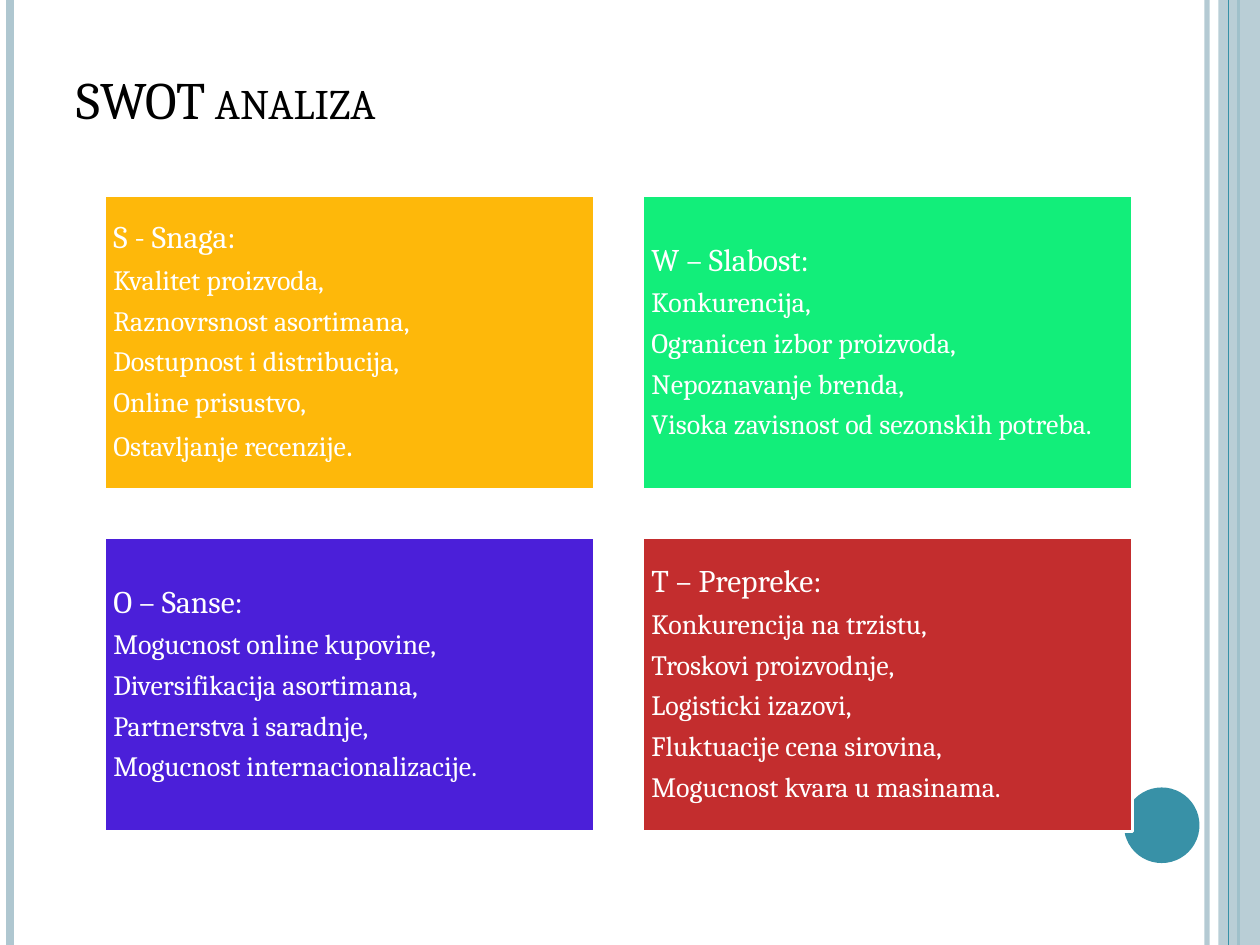
from lxml import etree
from pptx import Presentation
from pptx.dml.color import RGBColor
from pptx.enum.shapes import MSO_CONNECTOR, MSO_SHAPE
from pptx.enum.text import MSO_ANCHOR, MSO_AUTO_SIZE, PP_ALIGN
from pptx.oxml.ns import qn
from pptx.util import Inches, Pt

STRAIGHT = MSO_CONNECTOR.STRAIGHT
RECT, OVAL = MSO_SHAPE.RECTANGLE, MSO_SHAPE.OVAL
MIDDLE, BOTTOM = MSO_ANCHOR.MIDDLE, MSO_ANCHOR.BOTTOM
LEFT, NO_FIT = PP_ALIGN.LEFT, MSO_AUTO_SIZE.NONE

WHITE = RGBColor(0xFF, 0xFF, 0xFF)
BLACK = RGBColor(0x00, 0x00, 0x00)
MIST = RGBColor(0xAF, 0xC7, 0xD0)
TEAL = RGBColor(0x38, 0x91, 0xA7)
AMBER = RGBColor(0xFE, 0xB8, 0x0A)
GREEN = RGBColor(0x12, 0xEE, 0x7A)
VIOLET = RGBColor(0x4B, 0x1F, 0xD9)
RED = RGBColor(0xC3, 0x2D, 0x2E)

FONT = "Cambria"
WIDTH, HEIGHT = 10, 7.5
GAP = 0.38
INSET = 0.07

QUADRANTS = [
    (AMBER, "S - Snaga:", [
        ["Kvalitet proizvoda,"], ["Raznovrsnost asortimana,"],
        ["Dostupnost i distribucija,"], ["Online prisustvo,"],
        ["Ostavljanje recenzije", "."]]),
    (GREEN, "W – Slabost:", [
        ["Konkurencija,"], ["Ogranicen izbor proizvoda,"],
        ["Nepoznavanje brenda,"],
        ["Visoka zavisnost od sezonskih potreba."]]),
    (VIOLET, "O – Sanse:", [
        ["Mogucnost online kupovine,"], ["Diversifikacija asortimana,"],
        ["Partnerstva i saradnje,"], ["Mogucnost internacionalizacije."]]),
    (RED, "T – Prepreke:", [
        ["Konkurencija na trzistu,"], ["Troskovi proizvodnje,"],
        ["Logisticki izazovi,"], ["Fluktuacije cena sirovina,"],
        ["Mogucnost kvara u masinama."]]),
]


def set_alpha(sp, percent):
    """Make the first solid colour of a shape partly transparent."""
    clr = next(sp._element.spPr.iter(qn("a:srgbClr")))
    etree.SubElement(clr, qn("a:alpha")).set("val", str(percent * 1000))


def add_block(s, kind, box, color):
    """Add a flat, borderless preset shape."""
    sp = s.shapes.add_shape(kind, *map(Inches, box))
    sp.shadow.inherit = False
    sp.fill.solid()
    sp.fill.fore_color.rgb = color
    sp.line.fill.background()
    return sp


def add_rule(s, x, color, width):
    """Add a vertical line over the full slide height."""
    sp = s.shapes.add_connector(STRAIGHT, Inches(x), 0, Inches(x), Inches(HEIGHT))
    sp.line.color.rgb = color
    sp.line.width = Pt(width)
    etree.SubElement(sp._element.spPr, qn("a:effectLst"))
    return sp


def add_run(p, text, size, color):
    """Append one formatted run to a paragraph."""
    r = p.add_run()
    r.text = text
    r.font.name, r.font.size = FONT, Pt(size)
    r.font.color.rgb = color
    return r


def add_frame(s, width, height):
    """Draw the side rules, right band and corner disc."""
    set_alpha(add_rule(s, width - 0.42, MIST, 3), 93)
    add_rule(s, 0.08, MIST, 4.5)
    add_rule(s, width - 0.17, TEAL, 1.5)
    set_alpha(add_block(s, RECT, (width - 0.33, 0, 0.33, height), MIST), 87)
    add_rule(s, width - 0.25, TEAL, 0.75)
    add_block(s, OVAL, (width - 1.08, height - 1.25, 0.6, 0.6), TEAL)


def add_title(s, box, text):
    """Place the title placeholder and write it in small caps."""
    sp = s.shapes.title
    sp.left, sp.top, sp.width, sp.height = map(Inches, box)
    tf = sp.text_frame
    tf.word_wrap, tf.auto_size, tf.vertical_anchor = True, NO_FIT, BOTTOM
    p = tf.paragraphs[0]
    p.alignment = LEFT
    r = add_run(p, text, 30, BLACK)
    r._r.get_or_add_rPr().set("cap", "small")


def add_quadrant(s, box, color, heading, items):
    """Draw one coloured card with its heading and lines."""
    sp = add_block(s, RECT, box, color)
    sp.line.color.rgb = WHITE
    sp.line.width = Pt(2)
    tf = sp.text_frame
    tf.word_wrap, tf.vertical_anchor = True, MIDDLE
    tf.margin_left = tf.margin_right = Inches(INSET)
    tf.margin_top = tf.margin_bottom = Inches(INSET)
    for i, runs in enumerate([[heading]] + items):
        p = tf.paragraphs[0] if i == 0 else tf.add_paragraph()
        p.alignment, p.line_spacing, p.space_after = LEFT, 0.9, Pt(6)
        for j, text in enumerate(runs):
            add_run(p, text, 18 if i == 0 or j > 0 else 16, WHITE)


def add_matrix(s, box):
    """Lay the four cards out on a two by two grid in the box."""
    left, top, width, height = box
    w, h = (width - GAP) / 2, (height - GAP) / 2
    for i, quadrant in enumerate(QUADRANTS):
        row, col = divmod(i, 2)
        cell = (left + col * (w + GAP), top + row * (h + GAP), w, h)
        add_quadrant(s, cell, *quadrant)


def main():
    """Build the slide and save it."""
    prs = Presentation()
    prs.slide_width, prs.slide_height = Inches(WIDTH), Inches(HEIGHT)
    s = prs.slides.add_slide(prs.slide_layouts[5])
    add_frame(s, WIDTH, HEIGHT)
    add_title(s, (0.51, 0.29, 8.17, 0.79), "SWOT analiza")
    add_matrix(s, (0.83, 1.55, 8.16, 5.05))
    prs.save("out.pptx")


if __name__ == "__main__":
    main()
